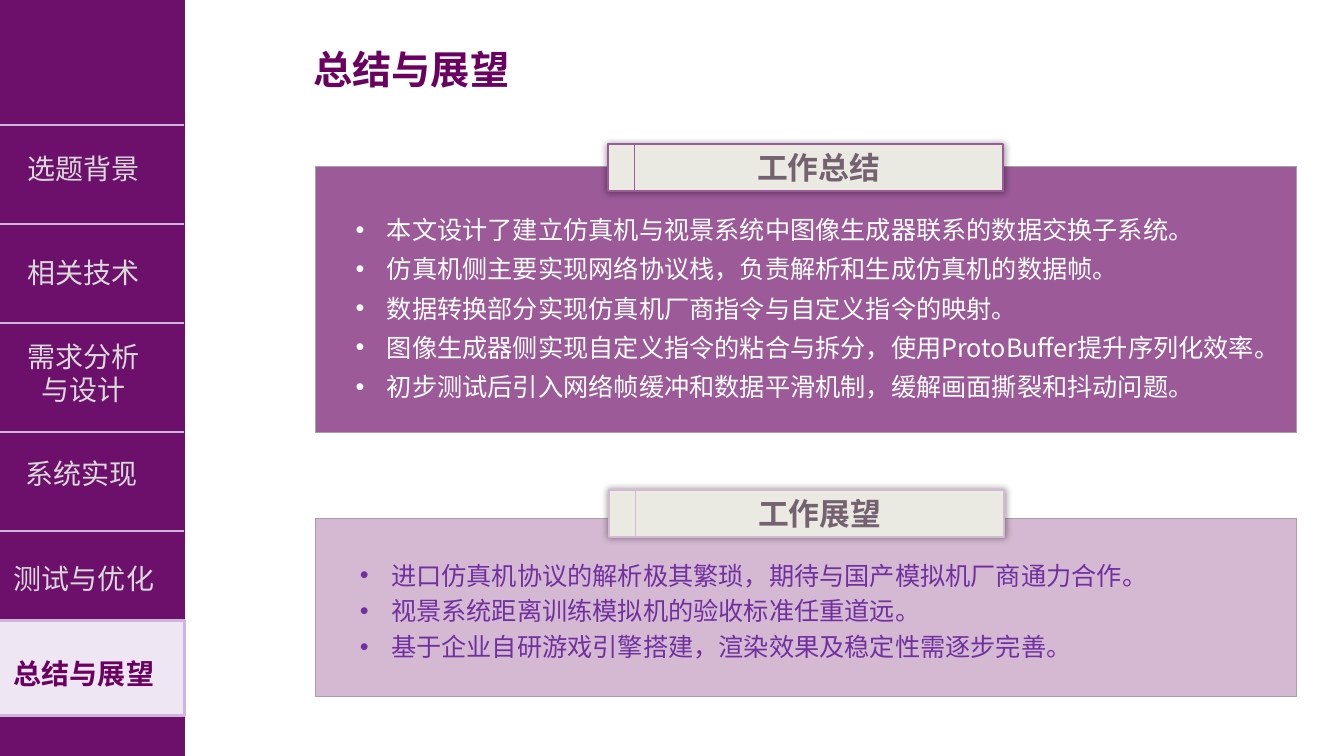
from dataclasses import dataclass

from lxml.etree import SubElement
from pptx import Presentation
from pptx.dml.color import RGBColor
from pptx.enum.shapes import MSO_CONNECTOR as Connector, MSO_SHAPE as Preset
from pptx.enum.text import MSO_ANCHOR as Anchor, PP_ALIGN as Align
from pptx.oxml.ns import qn
from pptx.util import Emu, Inches, Pt

COLORS = {
    "sidebar": "6C106B", "rule": "CEB5DD", "menu": "D9D9D9",
    "active": "EFE6F4", "title": "6A0060", "white": "FFFFFF",
    "summary": "9C5A99", "outlook": "D5B9D2", "outlook_text": "7030A0",
    "edge": "A89FA8", "tag": "EBEAE2", "tag_text": "756271",
    "shadow": "000000",
}
CJK = "Noto Sans CJK SC"

# The page is a grid of 80 columns by 45 rows of square cells
deck = Presentation()
deck.slide_width, deck.slide_height = Inches(13.33), Inches(7.5)
CELL = deck.slide_height / 45
page = deck.slides.add_slide(deck.slide_layouts[5])

SIDEBAR_LEFT, SIDEBAR_WIDTH = -1, 12
TAG_ROWS = 2.8


@dataclass
class Area:
    column: float
    row: float
    columns: float
    rows: float

    def lengths(self) -> tuple:
        return tuple(grid(n) for n in (self.column, self.row, self.columns, self.rows))


@dataclass
class MenuItem:
    text: str
    row: float
    rows: float = 2.64
    column: float = SIDEBAR_LEFT
    color: str = "menu"
    bold: bool = False


@dataclass
class Panel:
    heading: str
    points: str
    area: Area
    text_area: Area
    tag_column: float
    tag_row: float
    fill: str
    color: str
    spacing: float


def grid(cells: float) -> Emu:
    return Emu(round(cells * CELL))


def rgb(name: str) -> RGBColor:
    return RGBColor.from_string(COLORS[name])


def write(frame, text: str, *, size: float, color: str, font: str = CJK,
          bold: bool = False, align=Align.CENTER, anchor=Anchor.MIDDLE,
          spacing: float = 0, bullet: bool = False, inset: float = 0) -> None:
    """Fill a text frame, one paragraph for each line of text."""
    frame.word_wrap = True
    frame.vertical_anchor = anchor
    frame.margin_left = frame.margin_right = Inches(0.1)
    frame.margin_top = frame.margin_bottom = Inches(inset)
    for index, line in enumerate(text.split("\n")):
        para = frame.add_paragraph() if index else frame.paragraphs[0]
        if bullet:
            props = para._p.get_or_add_pPr()
            props.set("marL", str(Inches(0.31)))
            props.set("indent", str(-Inches(0.31)))
            SubElement(props, qn("a:buFont"), typeface="Arial")
            SubElement(props, qn("a:buChar"), char="•")
        para.alignment = align
        if spacing:
            para.line_spacing = Pt(spacing)
        span = para.add_run()
        span.text = line
        span.font.size, span.font.bold, span.font.name = Pt(size), bold, font
        span.font.color.rgb = rgb(color)
        SubElement(span._r.get_or_add_rPr(), qn("a:ea"), typeface=CJK)


def add_text(area: Area, text: str, **style) -> None:
    write(page.shapes.add_textbox(*area.lengths()).text_frame, text, **style)


def add_box(area: Area, fill: str = "", line: str = "", width: float = 0):
    box = page.shapes.add_shape(Preset.RECTANGLE, *area.lengths())
    box.shadow.inherit = False
    if fill:
        box.fill.solid()
        box.fill.fore_color.rgb = rgb(fill)
    else:
        box.fill.background()
    if line:
        box.line.color.rgb = rgb(line)
        box.line.width = Pt(width)
    else:
        box.line.fill.background()
    return box


def add_glow_shadow(box) -> None:
    effects = box._element.spPr.find(qn("a:effectLst"))
    shadow = SubElement(effects, qn("a:outerShdw"), blurRad=str(Pt(5)),
                        dist="0", dir="0", algn="ctr", rotWithShape="0")
    tint = SubElement(shadow, qn("a:srgbClr"), val=COLORS["shadow"])
    SubElement(tint, qn("a:alpha"), val="40000")


def add_rule(row: float) -> None:
    rule = page.shapes.add_connector(
        Connector.STRAIGHT, grid(SIDEBAR_LEFT), grid(row),
        grid(SIDEBAR_LEFT + SIDEBAR_WIDTH - 0.06), grid(row))
    rule.line.color.rgb = rgb("rule")
    rule.line.width = Pt(1.5)
    SubElement(rule._element.spPr, qn("a:effectLst"))


def add_panel(panel: Panel) -> None:
    add_box(panel.area, panel.fill, "edge")
    add_text(panel.text_area, panel.points, size=18, color=panel.color,
             align=Align.LEFT, anchor=Anchor.TOP, spacing=panel.spacing,
             bullet=True, inset=0.05)
    tag = Area(panel.tag_column, panel.tag_row, 23.52, TAG_ROWS)
    add_glow_shadow(add_box(tag, "tag", panel.fill, 1.5))
    label = Area(tag.column + 1.56, tag.row, tag.columns - 1.56, TAG_ROWS)
    write(add_box(label, line=panel.fill, width=0.75).text_frame, panel.heading,
          size=22, color="tag_text", font="Arial", bold=True)


# Title
title = page.shapes.title
title.left, title.top, title.width, title.height = Area(16.98, 2.4, 15, 3.42).lengths()
write(title.text_frame, "总结与展望", size=28, color="title", bold=True)

# Sidebar with its rules and the highlighted entry
add_box(Area(SIDEBAR_LEFT, -1.2, SIDEBAR_WIDTH, 47.1), "sidebar")
for rule_row in (7.44, 13.32, 19.2, 25.74, 31.62, 42.6):
    add_rule(rule_row)
add_box(Area(SIDEBAR_LEFT, 36.96, SIDEBAR_WIDTH, 5.64), "active", "rule", 2.25)

MENU = [
    MenuItem("选题背景", 8.7),
    MenuItem("相关技术", 14.88),
    MenuItem("需求分析\n与设计", 19.92, rows=4.62),
    MenuItem("系统实现", 26.88, column=-1.14),
    MenuItem("测试与优化", 33.12),
    MenuItem("总结与展望", 38.76, color="title", bold=True),
]
for item in MENU:
    add_text(Area(item.column, item.row, SIDEBAR_WIDTH, item.rows), item.text,
             size=20, color=item.color, bold=item.bold,
             spacing=23 if "\n" in item.text else 0)

# Panels
PANELS = [
    Panel("工作展望",
          "进口仿真机协议的解析极其繁琐，期待与国产模拟机厂商通力合作。\n"
          "视景系统距离训练模拟机的验收标准任重道远。\n"
          "基于企业自研游戏引擎搭建，渲染效果及稳定性需逐步完善。",
          Area(18.78, 30.84, 58.38, 10.62), Area(20.82, 32.7, 54.3, 7.8),
          36.24, 29.16, "outlook", "outlook_text", 25.6),
    Panel("工作总结",
          "本文设计了建立仿真机与视景系统中图像生成器联系的数据交换子系统。\n"
          "仿真机侧主要实现网络协议栈，负责解析和生成仿真机的数据帧。\n"
          "数据转换部分实现仿真机厂商指令与自定义指令的映射。\n"
          "图像生成器侧实现自定义指令的粘合与拆分，使用ProtoBuffer提升序列化效率。\n"
          "初步测试后引入网络帧缓冲和数据平滑机制，缓解画面撕裂和抖动问题。",
          Area(18.78, 9.9, 58.38, 15.84), Area(20.58, 11.94, 55.56, 12.42),
          36.18, 8.58, "summary", "white", 28),
]
for panel in PANELS:
    add_panel(panel)

deck.save("out.pptx")
